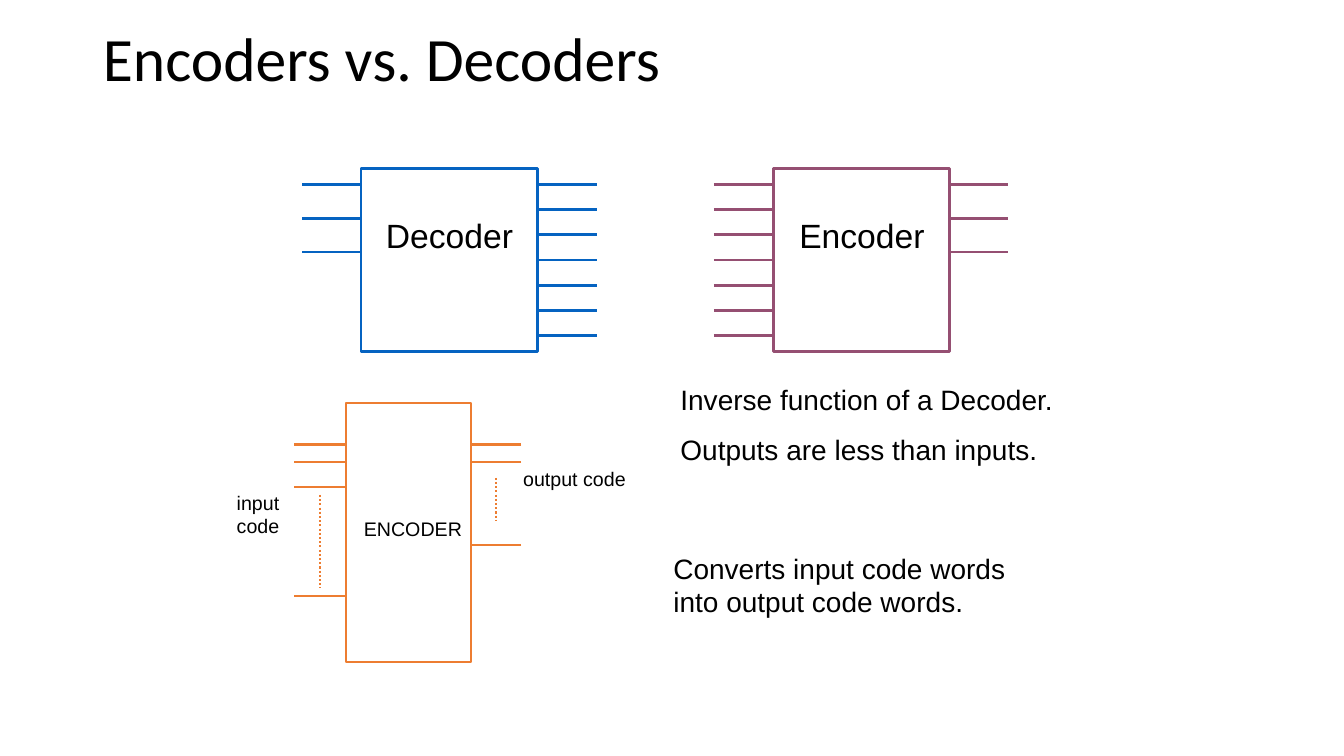
"""Builds the slide that sets encoders against decoders."""
from pptx import Presentation
from pptx.dml.color import RGBColor
from pptx.enum.dml import MSO_LINE_DASH_STYLE as Dash
from pptx.enum.shapes import MSO_CONNECTOR as Link, MSO_SHAPE as Form
from pptx.enum.text import MSO_ANCHOR as Anchor, MSO_AUTO_SIZE as Auto, PP_ALIGN as Align
from pptx.oxml.ns import qn
from pptx.util import Inches, Pt

BLUE, PLUM, ORANGE = "0563C1", "954F72", "ED7D31"
LEFT, RIGHT = 1, 3


def paint(code):
    return RGBColor.from_string(code)


def write(frame, *lines, size=20, font="Arial", color="000000", gap=0, pitch=None):
    for i, line in enumerate(lines):
        para = frame.paragraphs[0] if i == 0 else frame.add_paragraph()
        para.alignment = Align.LEFT
        para.line_spacing = pitch
        para.space_before = Pt(gap if i else 0)
        run = para.add_run()
        run.text = line
        run.font.size = Pt(size)
        run.font.name = font
        run.font.color.rgb = paint(color)


class Board:
    def __init__(self, deck):
        self.slide = deck.slides.add_slide(deck.slide_layouts[5])
        self.root = self.shapes = self.slide.shapes
        self.color, self.width = BLUE, 2

    def group(self, color, width):
        self.shapes = self.root.add_group_shape().shapes
        self.color, self.width = color, width

    def leave(self):
        self.shapes = self.root

    def title(self, text):
        head = self.root.title
        head.left, head.top, head.width, head.height = map(Inches, (0.92, 0.22, 11.5, 0.78))
        head.text_frame.auto_size = Auto.NONE
        head.text_frame.vertical_anchor = Anchor.MIDDLE
        write(head.text_frame, text, size=44, font="Calibri", pitch=0.9)

    def box(self, x, y, w, h, fill=None):
        rect = self.shapes.add_shape(Form.RECTANGLE, *map(Inches, (x, y, w, h)))
        rect.shadow.inherit = False
        if fill:
            rect.fill.solid()
            rect.fill.fore_color.rgb = paint(fill)
        else:
            rect.fill.background()
        rect.line.color.rgb = paint(self.color)
        rect.line.width = Pt(self.width)
        return rect

    def line(self, x1, y1, x2, y2, dash=None):
        wire = self.shapes.add_connector(Link.STRAIGHT, *map(Inches, (x1, y1, x2, y2)))
        wire.line.color.rgb = paint(self.color)
        wire.line.width = Pt(self.width)
        if dash:
            wire.line.dash_style = dash
        props = wire._element.spPr
        props.append(props.makeelement(qn("a:effectLst"), {}))
        return wire

    def pins(self, x1, x2, rows):
        return [self.line(x1, y, x2, y) for y in rows]

    def text(self, x, y, w, h, *lines, wrap=True, **look):
        frame = self.shapes.add_textbox(*map(Inches, (x, y, w, h))).text_frame
        frame.word_wrap = wrap
        write(frame, *lines, **look)

    def coder(self, name, color, x, few, many, side, tag):
        self.group(color, 2)
        rect = self.box(x, 1.67, 1.75, 1.82, fill="FFFFFF")
        self.pins(*few, [1.83, 2.17, 2.5])
        wires = self.pins(*many, [1.83 + 0.25 * i for i in range(7)])
        wires[3].end_connect(rect, side)
        self.text(tag, 2.08, 1.46, 0.5, name, wrap=False, size=24)
        self.leave()

    def block(self):
        self.group(ORANGE, 1.5)
        self.box(3.43, 4, 1.24, 2.57)
        self.pins(3.42, 2.92, [4.41, 4.58, 4.83, 5.91])
        self.pins(5.17, 4.67, [4.41, 4.58, 5.41])
        self.line(3.17, 4.91, 3.17, 5.83, dash=Dash.ROUND_DOT)
        self.line(4.92, 4.74, 4.92, 5.16, dash=Dash.ROUND_DOT)
        self.text(3.51, 5.08, 1.25, 0.34, "ENCODER", size=14)
        self.leave()


def main():
    deck = Presentation()
    deck.slide_width, deck.slide_height = Inches(13.33), Inches(7.5)
    board = Board(deck)
    board.title("Encoders vs. Decoders")
    board.coder("Decoder", BLUE, 3.58, (3.58, 3), (5.92, 5.33), RIGHT, 3.73)
    board.coder("Encoder", PLUM, 7.67, (9.42, 10), (7.08, 7.67), LEFT, 7.83)
    board.text(2.25, 4.82, 0.67, 0.57, "input code", size=14)
    board.text(5.09, 4.58, 1.25, 0.34, "output code", size=14)
    board.block()
    board.text(6.58, 5.42, 3.67, 0.77, "Converts input code words into output code words.")
    board.text(6.65, 3.75, 3.93, 0.93, "Inverse function of a Decoder.",
               "Outputs are less than inputs.", gap=11.5)
    deck.save("out.pptx")


if __name__ == "__main__":
    main()
